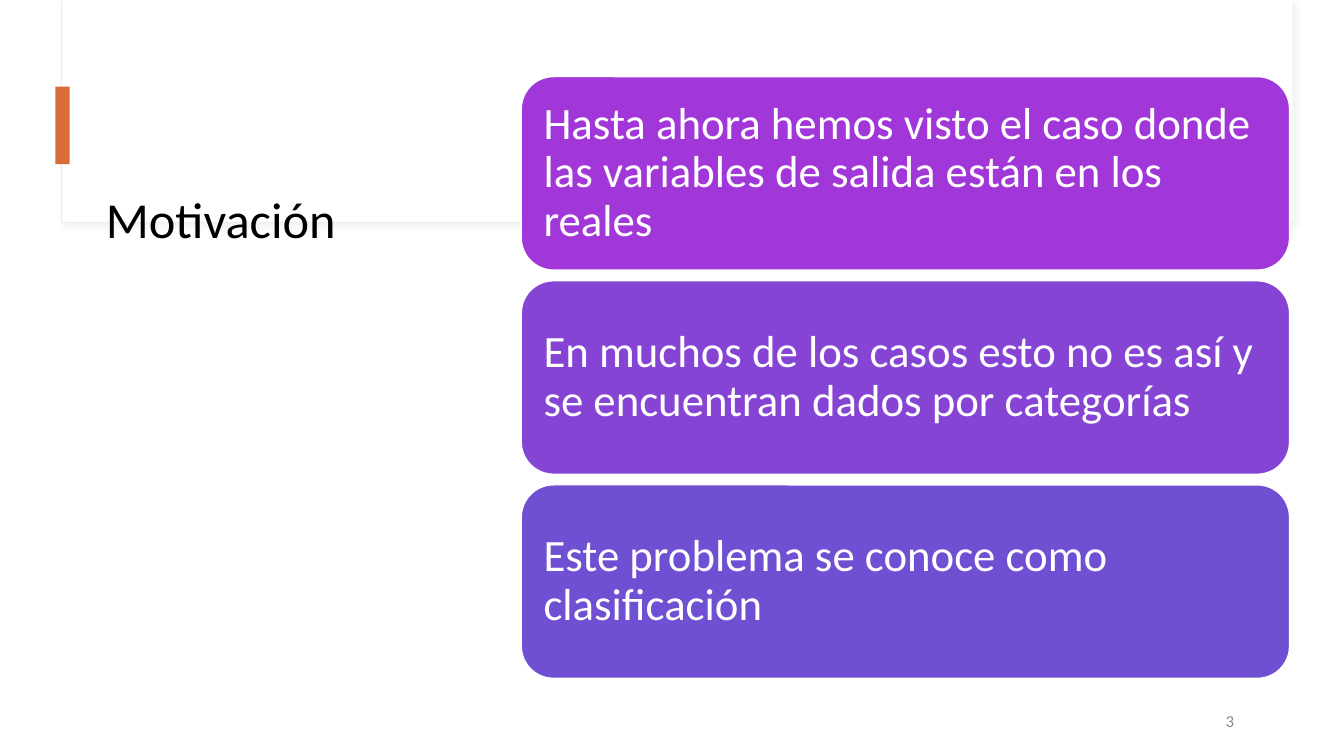
from lxml import etree
from pptx import Presentation
from pptx.dml.color import RGBColor
from pptx.enum.shapes import MSO_SHAPE
from pptx.enum.text import MSO_ANCHOR, PP_ALIGN
from pptx.oxml import parse_xml
from pptx.oxml.ns import nsdecls, qn
from pptx.util import Inches, Pt

RECTANGLE, ROUNDED = MSO_SHAPE.RECTANGLE, MSO_SHAPE.ROUNDED_RECTANGLE
TOP, MIDDLE = MSO_ANCHOR.TOP, MSO_ANCHOR.MIDDLE
LEFT, RIGHT = PP_ALIGN.LEFT, PP_ALIGN.RIGHT

WHITE = RGBColor(0xFF, 0xFF, 0xFF)
BLACK = RGBColor(0x00, 0x00, 0x00)
GREY = RGBColor(0x8C, 0x8C, 0x8C)
PALE_GREEN = RGBColor(0xE5, 0xF0, 0xEB)
ORANGE = RGBColor(0xD9, 0x6C, 0x37)
MAGENTA = RGBColor(0xA2, 0x37, 0xD9)
PURPLE = RGBColor(0x86, 0x44, 0xD5)
VIOLET = RGBColor(0x70, 0x50, 0xD2)

FONT = "Calibri"
CARD_LEFT, CARD_TOP = 5.17, 0.76
CARD_WIDTH, CARD_HEIGHT, CARD_PITCH = 7.62, 1.92, 2.025
CARD_INSET = 0.22
CARDS = [
    ("Hasta ahora hemos visto el caso donde las variables de salida están en los reales", MAGENTA),
    ("En muchos de los casos esto no es así y se encuentran dados por categorías", PURPLE),
    ("Este problema se conoce como clasificación", VIOLET),
]


def add_block(page, kind, area, fill, line=None, line_width=1):
    block = page.shapes.add_shape(kind, *map(Inches, area))
    block.shadow.inherit = False
    block.fill.solid()
    block.fill.fore_color.rgb = fill
    if line is None:
        block.line.fill.background()
    else:
        block.line.color.rgb = line
        block.line.width = Pt(line_width)
    return block


def add_soft_shadow(block):
    effects = block._element.spPr.find(qn("a:effectLst"))
    shadow = parse_xml(
        f'<a:outerShdw {nsdecls("a")} blurRad="{Pt(4)}" dist="{Pt(3)}" '
        f'dir="{45 * 60000}" algn="tl" rotWithShape="0"/>')
    color = etree.SubElement(shadow, qn("a:srgbClr"), val="D9D9D9")
    etree.SubElement(color, qn("a:alpha"), val="30000")
    effects.append(shadow)


def write(box, text, size, color, align=LEFT, anchor=MIDDLE, spacing=1.0):
    frame = box.text_frame
    frame.word_wrap = True
    frame.vertical_anchor = anchor
    para = frame.paragraphs[0]
    para.text = text
    para.alignment = align
    para.line_spacing = spacing
    para.font.name = FONT
    para.font.size = Pt(size)
    para.font.color.rgb = color
    return para


def add_header(page):
    frame = add_block(page, RECTANGLE, (0.61, 0, 12.21, 2.21), WHITE, PALE_GREEN, 0.75)
    add_soft_shadow(frame)
    add_block(page, RECTANGLE, (0.62, 0, 12.2, 2.2), WHITE)
    add_block(page, RECTANGLE, (0.55, 0.86, 0.14, 0.77), ORANGE)


def set_title(page, text):
    title = page.shapes.title
    title.left, title.top, title.width, title.height = map(Inches, (0.95, 1.88, 3.39, 3.85))
    write(title, text, 36, BLACK, anchor=TOP, spacing=0.9)
    # Bring the title in front of the header panel
    page.shapes._spTree.append(title._element)


def add_page_number(page, number):
    box = page.shapes.add_textbox(*map(Inches, (9.34, 6.95, 3, 0.4)))
    write(box, number, 12, GREY, align=RIGHT).space_after = Pt(6)


def add_card(page, row, text, fill):
    area = (CARD_LEFT, CARD_TOP + row * CARD_PITCH, CARD_WIDTH, CARD_HEIGHT)
    card = add_block(page, ROUNDED, area, fill, WHITE)
    frame = card.text_frame
    # The rounded corners already inset the text by a share of their radius
    corner = card.adjustments[0] * CARD_HEIGHT * 0.29
    frame.margin_left = frame.margin_right = Inches(CARD_INSET - corner)
    frame.margin_top = frame.margin_bottom = Inches(CARD_INSET - corner)
    write(card, text, 32, WHITE, spacing=0.9)


def main():
    deck = Presentation()
    deck.slide_width, deck.slide_height = Inches(13.33), Inches(7.5)
    title_only = deck.slide_layouts[5]
    page = deck.slides.add_slide(title_only)
    add_header(page)
    set_title(page, "Motivación")
    add_page_number(page, "3")
    for row, (text, fill) in enumerate(CARDS):
        add_card(page, row, text, fill)
    deck.save("out.pptx")


if __name__ == "__main__":
    main()
